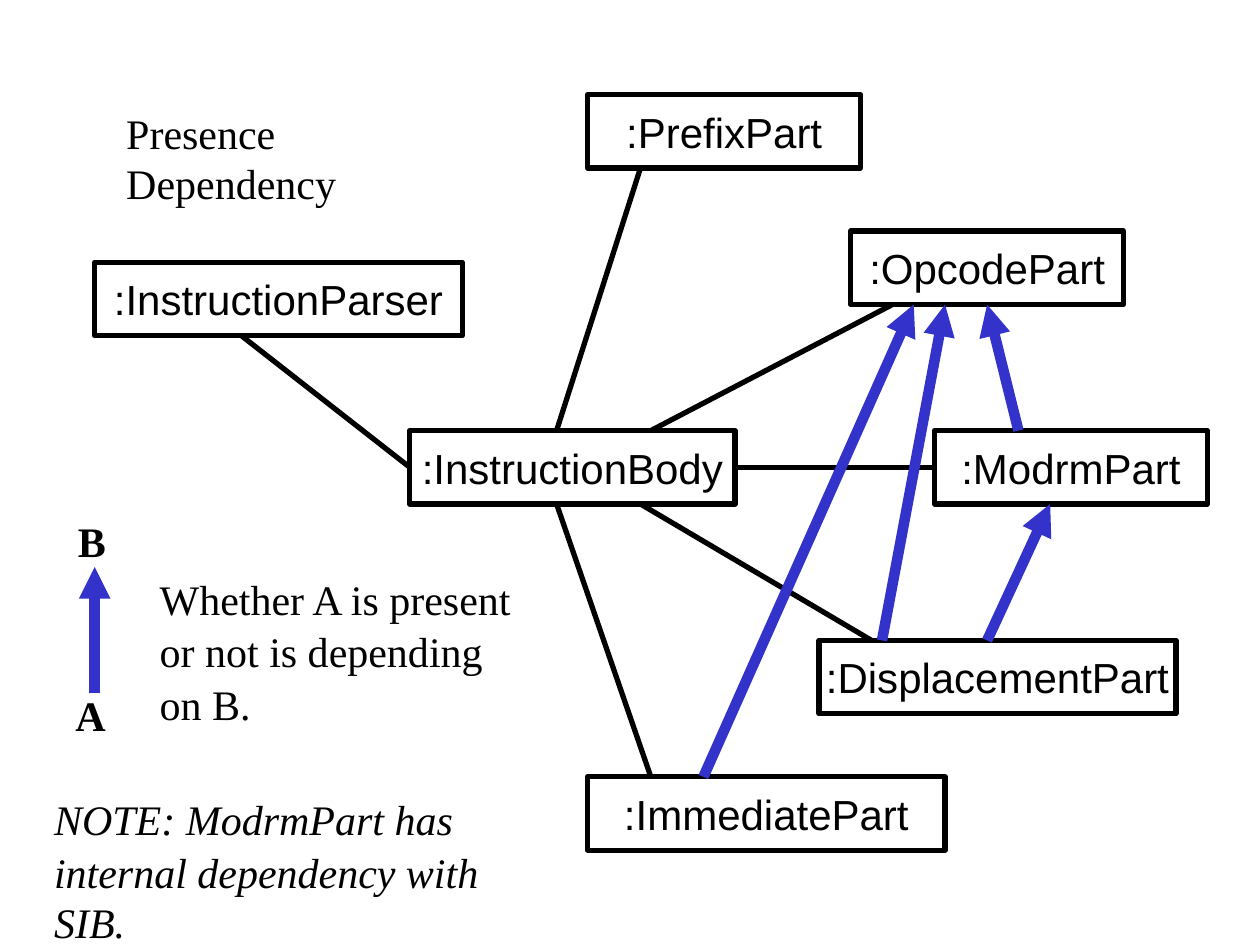
from pptx import Presentation
from pptx.dml.color import RGBColor
from pptx.enum.shapes import MSO_CONNECTOR, MSO_SHAPE
from pptx.enum.text import MSO_ANCHOR, MSO_AUTO_SIZE, PP_ALIGN
from pptx.oxml.ns import qn
from pptx.util import Cm, Pt
from lxml.etree import SubElement

BLACK = RGBColor(0x00, 0x00, 0x00)
WHITE = RGBColor(0xFF, 0xFF, 0xFF)
BLUE = RGBColor(0x33, 0x33, 0xCC)

BOX_HEIGHT = 1.48
SITES = {"top": 0, "left": 1, "bottom": 2, "right": 3}

# Class name: left, top, width in cm
BOXES = {
    "InstructionParser": (1.91, 5.29, 7.41),
    "InstructionBody": (8.26, 8.68, 6.56),
    "ModrmPart": (18.84, 8.68, 5.5),
    "OpcodePart": (17.15, 4.66, 5.5),
    "PrefixPart": (11.85, 1.91, 5.5),
    "DisplacementPart": (16.51, 12.91, 7.2),
    "ImmediatePart": (11.85, 15.66, 7.2),
}

# Each end: class name, side, x in cm (None joins the middle of the side)
ASSOCIATIONS = [
    (("InstructionBody", "top", 11.22), ("PrefixPart", "bottom", 12.91)),
    (("InstructionBody", "top", 13.12), ("OpcodePart", "bottom", 17.99)),
    (("InstructionBody", "right", None), ("ModrmPart", "left", None)),
    (("InstructionBody", "bottom", 12.91), ("DisplacementPart", "top", 17.57)),
    (("InstructionBody", "bottom", 11.22), ("ImmediatePart", "top", 13.12)),
    (("InstructionParser", "bottom", 4.87), ("InstructionBody", "left", None)),
]
DEPENDENCIES = [
    (("ModrmPart", "top", 20.53), ("OpcodePart", "bottom", None)),
    (("DisplacementPart", "top", 17.78), ("OpcodePart", "bottom", 19.05)),
    (("ImmediatePart", "top", 14.18), ("OpcodePart", "bottom", 18.42)),
    (("DisplacementPart", "top", 19.9), ("ModrmPart", "bottom", 21.17)),
]


def write_text(shape, text, font="Times New Roman", align=PP_ALIGN.LEFT,
               anchor=MSO_ANCHOR.TOP, bold=False, italic=False, space_before=1.3):
    frame = shape.text_frame
    frame.text = text
    frame.word_wrap = False
    frame.vertical_anchor = anchor
    for paragraph in frame.paragraphs:
        paragraph.alignment = align
        paragraph.space_before = Pt(space_before)
        paragraph.font.name = font
        paragraph.font.size = Pt(24)
        paragraph.font.bold = bold
        paragraph.font.italic = italic
        paragraph.font.color.rgb = BLACK


def add_label(slide, text, left, top, width, height, **text_format):
    shape = slide.shapes.add_textbox(Cm(left), Cm(top), Cm(width), Cm(height))
    write_text(shape, text, **text_format)
    shape.text_frame.auto_size = MSO_AUTO_SIZE.SHAPE_TO_FIT_TEXT


def add_box(slide, name):
    left, top, width = BOXES[name]
    shape = slide.shapes.add_shape(
        MSO_SHAPE.RECTANGLE, Cm(left), Cm(top), Cm(width), Cm(BOX_HEIGHT))
    shape.shadow.inherit = False
    shape.fill.solid()
    shape.fill.fore_color.rgb = WHITE
    shape.line.color.rgb = BLACK
    shape.line.width = Pt(3)
    write_text(shape, ":" + name, font="Arial", align=PP_ALIGN.CENTER,
               anchor=MSO_ANCHOR.MIDDLE, space_before=0)
    return shape


def add_line(slide, start, end, color=BLACK, width=3, arrow=False):
    connector = slide.shapes.add_connector(
        MSO_CONNECTOR.STRAIGHT, *(Cm(value) for value in start + end))
    connector.line.color.rgb = color
    connector.line.width = Pt(width)
    if arrow:
        SubElement(connector.line._get_or_add_ln(), qn("a:tailEnd"), type="triangle")
    SubElement(connector._element.spPr, qn("a:effectLst"))
    return connector


def side_point(name, side, x):
    """Point on the side of a box, in cm."""
    left, top, width = BOXES[name]
    middle = top + BOX_HEIGHT / 2
    points = {
        "top": (x or left + width / 2, top),
        "bottom": (x or left + width / 2, top + BOX_HEIGHT),
        "left": (left, middle),
        "right": (left + width, middle),
    }
    return points[side]


def link_boxes(slide, shapes, start, end, **line_format):
    connector = add_line(slide, side_point(*start), side_point(*end), **line_format)
    joins = ((start, connector.begin_connect), (end, connector.end_connect))
    for (name, side, x), join in joins:
        if x is None:
            join(shapes[name], SITES[side])


def add_title(slide, text):
    title = slide.shapes.title
    title.left, title.top = Cm(2.29), Cm(2.03)
    title.width, title.height = Cm(7.95), Cm(1.27)
    write_text(title, text)
    title.text_frame.auto_size = MSO_AUTO_SIZE.SHAPE_TO_FIT_TEXT


def main():
    presentation = Presentation()
    presentation.slide_width, presentation.slide_height = Cm(25.4), Cm(19.05)
    slide = presentation.slides.add_slide(presentation.slide_layouts[5])
    add_title(slide, "Presence Dependency")

    # Class boxes and their links
    shapes = {name: add_box(slide, name) for name in BOXES}
    arrow_format = {"color": BLUE, "width": 6, "arrow": True}
    for start, end in ASSOCIATIONS:
        link_boxes(slide, shapes, start, end)
    for start, end in DEPENDENCIES:
        link_boxes(slide, shapes, start, end, **arrow_format)

    # Legend
    add_line(slide, (1.91, 13.97), (1.91, 11.43), **arrow_format)
    add_label(slide, "A", 1.27, 13.77, 1.12, 1.27, bold=True)
    add_label(slide, "B", 1.32, 10.26, 1.07, 1.27, bold=True)
    add_label(slide, "Whether A is present\nor not is depending\non B.",
              2.97, 11.43, 7.67, 3.3)

    # Note
    add_label(slide, "NOTE: ModrmPart has\ninternal dependency with SIB.",
              0.84, 15.88, 10.69, 2.29, italic=True)

    presentation.save("out.pptx")


if __name__ == "__main__":
    main()
